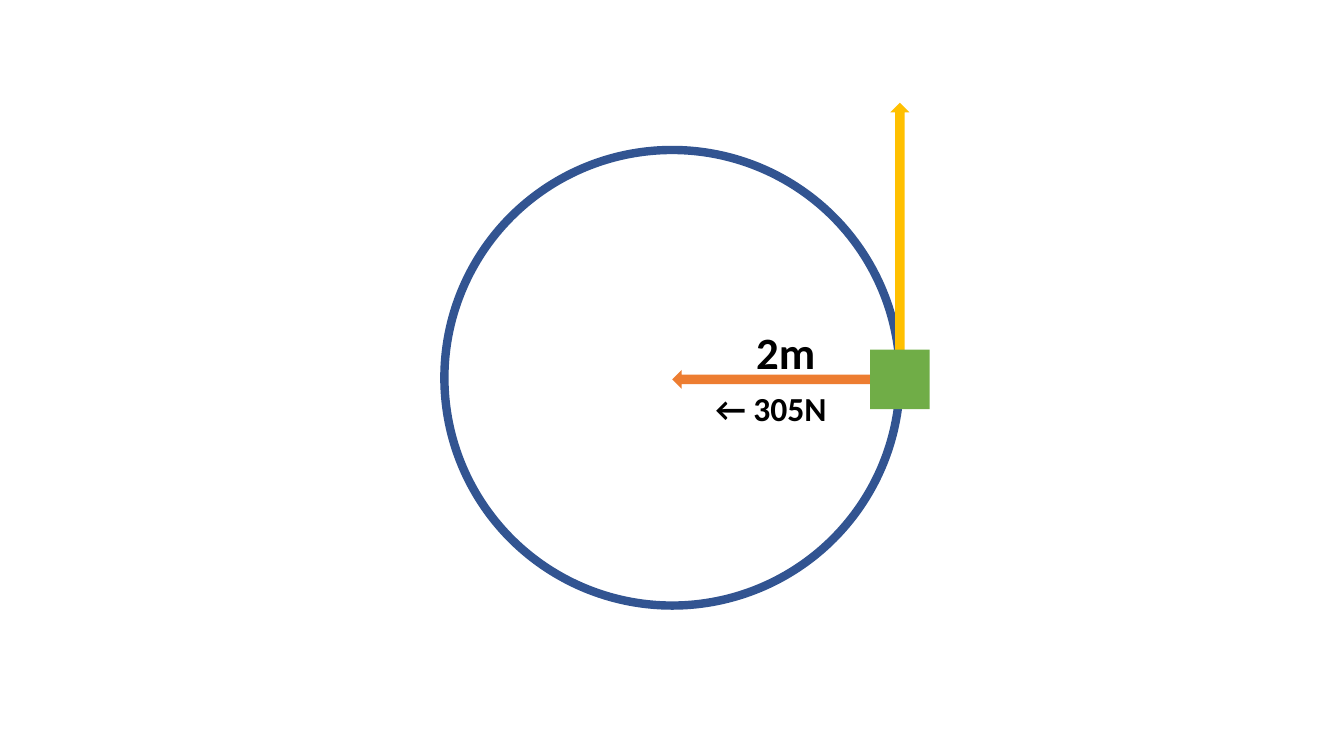
from dataclasses import dataclass

from pptx import Presentation
from pptx.dml.color import RGBColor
from pptx.enum import shapes, text
from pptx.util import Cm, Pt


@dataclass(frozen=True)
class Theme:
    orbit: str = "325491"
    force: str = "ED7D31"
    velocity: str = "FFC000"
    body: str = "70AD47"
    ink: str = "000000"
    font: str = "Calibri"
    radius_size: int = 32
    force_size: int = 24
    orbit_width: int = 6


THEME = Theme()
SHAPE = shapes.MSO_SHAPE


def add_figure(slide, kind, left, top, width, height, fill=None, line=None):
    shape = slide.shapes.add_shape(kind, Cm(left), Cm(top), Cm(width), Cm(height))
    shape.shadow.inherit = False
    if fill:
        shape.fill.solid()
        shape.fill.fore_color.rgb = RGBColor.from_string(fill)
    else:
        shape.fill.background()
    if line:
        shape.line.color.rgb = RGBColor.from_string(line)
        shape.line.width = Pt(THEME.orbit_width)
    else:
        shape.line.fill.background()


def add_label(slide, wording, center_x, top, width, height, size):
    label = slide.shapes.add_textbox(
        Cm(center_x - width / 2), Cm(top), Cm(width), Cm(height))
    frame = label.text_frame
    frame.text = wording
    frame.word_wrap = False
    frame.auto_size = text.MSO_AUTO_SIZE.SHAPE_TO_FIT_TEXT
    font = frame.paragraphs[0].runs[0].font
    font.name = THEME.font
    font.size = Pt(size)
    font.bold = True
    font.color.rgb = RGBColor.from_string(THEME.ink)


def draw_circular_motion(slide, left, top, diameter):
    radius = diameter / 2
    center_x = left + radius
    body_x = left + diameter
    body_y = top + radius + 0.04
    body_side = 1.5
    thickness = 0.48
    velocity_length = 7.06
    velocity_top = top - 1.19

    add_figure(slide, SHAPE.LEFT_ARROW, center_x, body_y - thickness / 2,
               radius, thickness, fill=THEME.force)
    add_figure(slide, SHAPE.OVAL, left, top, diameter, diameter, line=THEME.orbit)
    add_label(slide, "2m", center_x + radius / 2, body_y - 1.51,
              2.01, 1.62, THEME.radius_size)
    add_figure(slide, SHAPE.UP_ARROW, body_x - thickness / 2, velocity_top,
               thickness, velocity_length, fill=THEME.velocity)
    add_figure(slide, SHAPE.RECTANGLE, body_x - body_side / 2,
               body_y - body_side / 2, body_side, body_side, fill=THEME.body)
    add_label(slide, "← 305N", center_x + radius / 2 - 0.33, body_y + 0.09,
              3.4, 1.28, THEME.force_size)


def main():
    presentation = Presentation()
    presentation.slide_width = Cm(33.87)
    presentation.slide_height = Cm(19.05)
    slide = presentation.slides.add_slide(presentation.slide_layouts[6])
    draw_circular_motion(slide, left=11.2, top=3.78, diameter=11.48)
    presentation.save("out.pptx")


if __name__ == "__main__":
    main()
